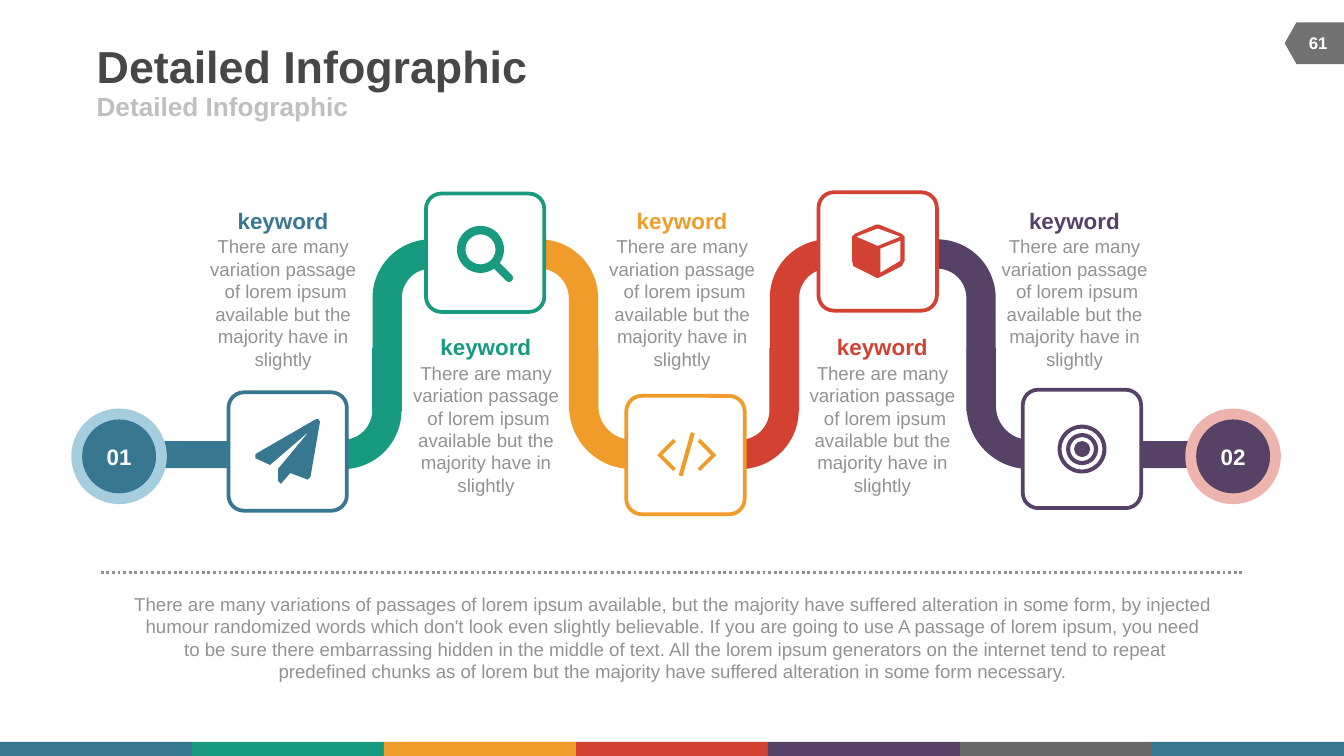
"""Build a winding five-step infographic slide."""
import pptx
import pptx.dml.color
import pptx.enum.dml
import pptx.enum.shapes
import pptx.enum.text
import pptx.util
from lxml import etree

Pt = pptx.util.Pt
RGBColor = pptx.dml.color.RGBColor
SHAPE = pptx.enum.shapes.MSO_SHAPE
ALIGN = pptx.enum.text.PP_ALIGN
ANCHOR = pptx.enum.text.MSO_ANCHOR

BLUE = RGBColor(0x37, 0x77, 0x90)
GREEN = RGBColor(0x18, 0x9A, 0x80)
ORANGE = RGBColor(0xF0, 0x9C, 0x2A)
RED = RGBColor(0xD2, 0x41, 0x32)
PURPLE = RGBColor(0x56, 0x42, 0x66)
DARK_GRAY = RGBColor(0x68, 0x68, 0x68)
TAB_GRAY = RGBColor(0x72, 0x72, 0x72)
TITLE_GRAY = RGBColor(0x47, 0x47, 0x47)
LIGHT_GRAY = RGBColor(0xBF, 0xBF, 0xBF)
TEXT_GRAY = RGBColor(0x92, 0x92, 0x92)
PALE_BLUE = RGBColor(0xA5, 0xCD, 0xDD)
PALE_RED = RGBColor(0xED, 0xB3, 0xAD)
WHITE = RGBColor(0xFF, 0xFF, 0xFF)

PAGE_WIDTH, PAGE_HEIGHT = 720, 405
TILE = 63.4
BAND = 15.7

STEP_TEXT = ("There are many variation passage\n of lorem ipsum available "
             "but the majority have in slightly")
SUMMARY = (
    "There are many variations of passages of lorem ipsum available, but the majority have "
    "suffered alteration in some form, by injected humour randomized words which don't look "
    "even slightly believable. If you are going to use A passage of lorem ipsum, you need\n"
    " to be sure there embarrassing hidden in the middle of text. All the lorem ipsum "
    "generators on the internet tend to repeat\npredefined chunks as of lorem but the "
    "majority have suffered alteration in some form necessary.")

PLANE = [[(49, 15.8), (43.9, 45.4), (42.5, 46.8), (33.1, 43.2), (28.1, 49), (26.6, 47.5),
          (26.6, 41), (43.2, 20.9), (22.3, 38.9), (14.4, 35.3), (14.4, 33.1),
          (46.8, 14.4), (48.2, 14.4)]]
CHEVRON = [(25.2, 40.3), (16.6, 31.7), (25.2, 23), (26.6, 24.5), (19.4, 31.7), (26.6, 38.9)]
SLASH = [(30.2, 43.2), (28.1, 42.5), (34.6, 19.4), (36.7, 20.2)]
CODE = [CHEVRON, SLASH, [(64.8 - x, y) for x, y in CHEVRON]]
CUBE = [[(46.1, 36.7), (44.6, 39.6), (33.1, 45.4), (31.7, 46.1), (18.7, 39.6), (18, 36.7),
         (18, 23.8), (19.4, 22.3), (31, 17.3), (32.4, 17.3), (44.6, 22.3), (46.1, 23.8)],
        [(43.9, 23.8), (31.7, 19.4), (20.2, 23.8), (31.7, 28.8)],
        [(43.9, 36.7), (43.9, 25.9), (33.1, 30.2), (33.1, 43.2)]]


def write_text(frame, text, size=10, color=TEXT_GRAY, bold=False, align=ALIGN.CENTER,
               anchor=ANCHOR.MIDDLE):
    """Fill a text frame with one formatted paragraph."""
    frame.margin_left = frame.margin_right = frame.margin_top = frame.margin_bottom = 0
    frame.word_wrap = True
    frame.vertical_anchor = anchor
    para = frame.paragraphs[0]
    para.text = text
    para.alignment = align
    for span in para.runs:
        span.font.name = "Arial"
        span.font.size = Pt(size)
        span.font.bold = bold
        span.font.color.rgb = color


def add_text(page, left, top, width, height, text, **style):
    """Add a text box."""
    box = page.shapes.add_textbox(Pt(left), Pt(top), Pt(width), Pt(height))
    write_text(box.text_frame, text, **style)


def add_solid(page, kind, left, top, width, height, color, rotation=0, adjust=()):
    """Add a plain filled shape that covers the given box once turned."""
    if rotation in (90, 270):
        left, top = left + (width - height) / 2, top + (height - width) / 2
        width, height = height, width
    shape = page.shapes.add_shape(kind, Pt(left), Pt(top), Pt(width), Pt(height))
    shape.shadow.inherit = False
    shape.rotation = rotation
    shape.fill.solid()
    shape.fill.fore_color.rgb = color
    shape.line.fill.background()
    for index, value in enumerate(adjust):
        shape.adjustments[index] = value
    return shape


def add_outline_icon(page, left, top, color, contours):
    """Draw closed contours as one filled icon."""
    points = [[(Pt(left + x), Pt(top + y)) for x, y in contour] for contour in contours]
    builder = page.shapes.build_freeform(*points[0][0])
    builder.add_line_segments(points[0][1:])
    for contour in points[1:]:
        builder.move_to(*contour[0])
        builder.add_line_segments(contour[1:])
    icon = builder.convert_to_shape()
    icon.shadow.inherit = False
    icon.fill.solid()
    icon.fill.fore_color.rgb = color
    icon.line.fill.background()


def add_magnifier(page, left, top, color):
    """Draw a ring with a slanted handle."""
    add_solid(page, SHAPE.DONUT, left + 16.6, top + 17.3, 25.2, 25.2, color, adjust=[0.18])
    add_solid(page, SHAPE.ROUNDED_RECTANGLE, left + 33.2, top + 39.2, 15, 4.4, color,
              rotation=45, adjust=[0.5])


def add_target(page, left, top, color):
    """Draw two rings around a dot."""
    for kind, radius, adjust in ((SHAPE.DONUT, 13.1, [0.08]), (SHAPE.DONUT, 8.6, [0.13]),
                                 (SHAPE.OVAL, 4.3, [])):
        corner = 31.8 - radius
        add_solid(page, kind, left + corner, top + corner, 2 * radius, 2 * radius, color,
                  adjust=adjust)


def add_tile(page, left, top, color, icon):
    """Add an outlined tile with its icon."""
    tile = add_solid(page, SHAPE.ROUNDED_RECTANGLE, left, top, TILE, TILE, WHITE, adjust=[0.13])
    tile.line.color.rgb = color
    tile.line.width = Pt(2)
    if callable(icon):
        icon(page, left, top, color)
    else:
        add_outline_icon(page, left, top, color, icon)


def add_caption(page, left, top, color):
    """Add a keyword above its description."""
    add_text(page, left, top, 90, 14.4, "keyword", size=12, color=color, bold=True)
    add_text(page, left, top + 15.1, 90, 72.7, STEP_TEXT, anchor=ANCHOR.TOP)


def add_bend(page, left, top, color, rising):
    """Add an S-shaped band between a low and a high tile."""
    if rising:
        arms = ((45, 0, 60.5, 92.2, 0), (0, 58.3, 60.5, 64.8, 180))
    else:
        arms = ((0, 0, 60.5, 92.2, 90), (45, 58.3, 64.8, 64.8, 270))
    for x, y, width, height, rotation in arms:
        share = BAND / min(width, height)
        add_solid(page, SHAPE.BENT_ARROW, left + x, top + y, width, height, color,
                  rotation=rotation, adjust=[share, share / 2, 0, 0.52])


def add_endpoint(page, left, top, text, color, halo):
    """Add a numbered disc with a halo."""
    add_solid(page, SHAPE.OVAL, left, top, 51.2, 51.2, halo)
    disc = add_solid(page, SHAPE.OVAL, left + 5.8, top + 5.8, 39.6, 39.6, color)
    write_text(disc.text_frame, text, size=12, color=WHITE, bold=True)


def add_header(page, left, top):
    """Add the title, the subtitle and the page tab."""
    add_text(page, left, top, 444, 28, "Detailed Infographic", size=24, color=TITLE_GRAY,
             bold=True, align=ALIGN.LEFT)
    add_text(page, left, top + 28, 324, 16, "Detailed Infographic", size=14,
             color=LIGHT_GRAY, bold=True, align=ALIGN.LEFT)
    add_solid(page, SHAPE.FLOWCHART_OFFPAGE_CONNECTOR, 688.2, 12, 31.7, 22.3, TAB_GRAY,
              rotation=90)
    add_text(page, 691.2, 12.4, 30, 21.6, "61", size=9, color=WHITE, bold=True)


def add_summary(page, left, top, width):
    """Add the dotted rule and the closing paragraph."""
    rule = page.shapes.add_connector(pptx.enum.shapes.MSO_CONNECTOR.STRAIGHT,
                                     Pt(left), Pt(top), Pt(left + width), Pt(top))
    rule.line.color.rgb = TEXT_GRAY
    rule.line.width = Pt(1.5)
    rule.line.dash_style = pptx.enum.dml.MSO_LINE.ROUND_DOT
    etree.SubElement(rule.element.spPr, pptx.oxml.ns.qn("a:effectLst"))
    add_text(page, left, top + 10.8, width, 48.2, SUMMARY, anchor=ANCHOR.TOP)


def add_color_strip(page, top, height):
    """Add the row of equal color blocks along the bottom."""
    colors = (BLUE, GREEN, ORANGE, RED, PURPLE, DARK_GRAY, BLUE)
    width = PAGE_WIDTH / len(colors)
    for index, color in enumerate(colors):
        add_solid(page, SHAPE.RECTANGLE, index * width, top, width, height, color)


def main():
    """Create the deck and save it."""
    deck = pptx.Presentation()
    deck.slide_width, deck.slide_height = Pt(PAGE_WIDTH), Pt(PAGE_HEIGHT)
    page = deck.slides.add_slide(deck.slide_layouts[6])
    add_color_strip(page, 397.5, 7.5)
    add_header(page, 51.8, 20.9)
    for left, color, rising in ((472.9, PURPLE, False), (367.4, RED, True),
                                (259.9, ORANGE, False), (154.6, GREEN, True)):
        add_bend(page, left, 128.2, color, rising)
    for left, width, color in ((59.8, 64.8, BLUE), (612, 54, PURPLE)):
        add_solid(page, SHAPE.RECTANGLE, left, 236.4, width, 14.4, color)
    steps = ((122.4, 210.2, 106.6, 110.9, BLUE, PLANE),
             (228.2, 103.7, 215.3, 178.6, GREEN, add_magnifier),
             (335.5, 212.1, 320.4, 110.9, ORANGE, CODE),
             (438.5, 103, 427.7, 178.6, RED, CUBE),
             (547.9, 208.8, 530.6, 110.9, PURPLE, add_target))
    for tile_left, tile_top, caption_left, caption_top, color, icon in steps:
        add_caption(page, caption_left, caption_top, color)
        add_tile(page, tile_left, tile_top, color, icon)
    add_endpoint(page, 38.2, 218.9, "01", BLUE, PALE_BLUE)
    add_endpoint(page, 635, 218.9, "02", PURPLE, PALE_RED)
    add_summary(page, 54, 306.7, 612)
    deck.save("out.pptx")


if __name__ == "__main__":
    main()
